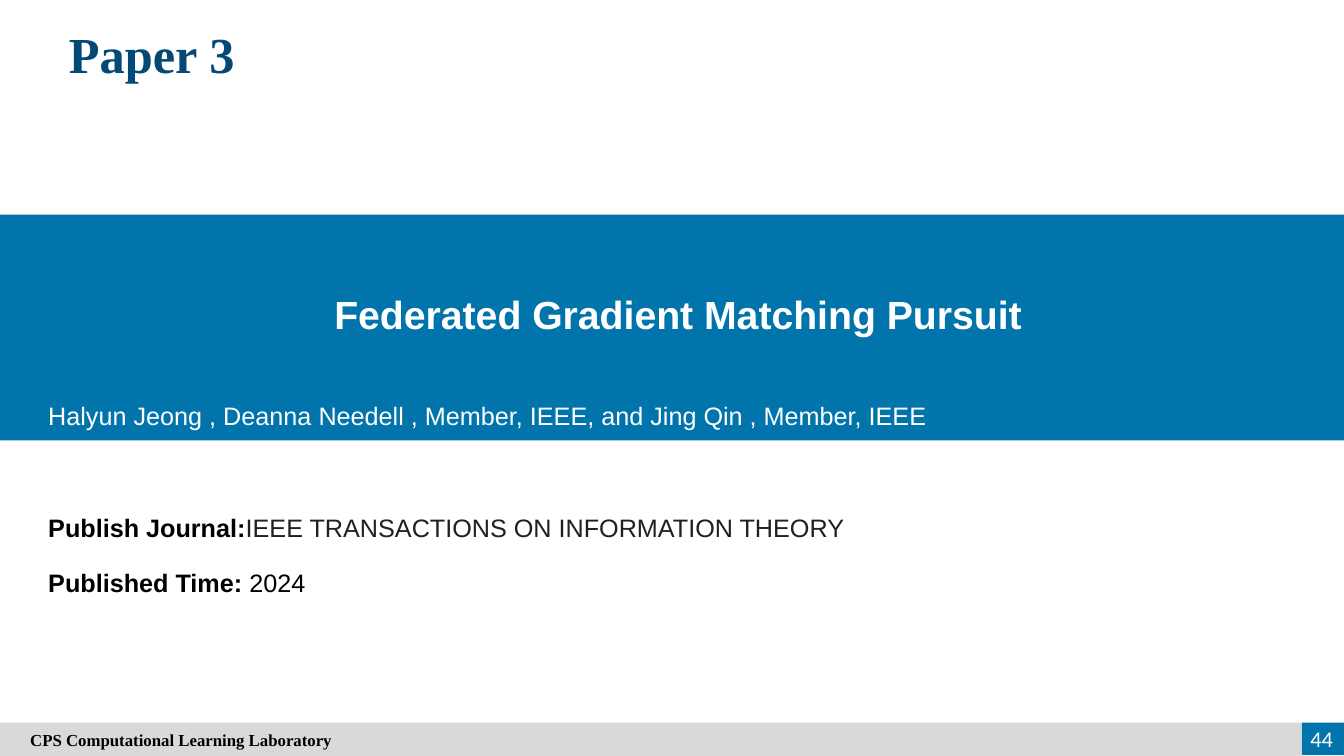
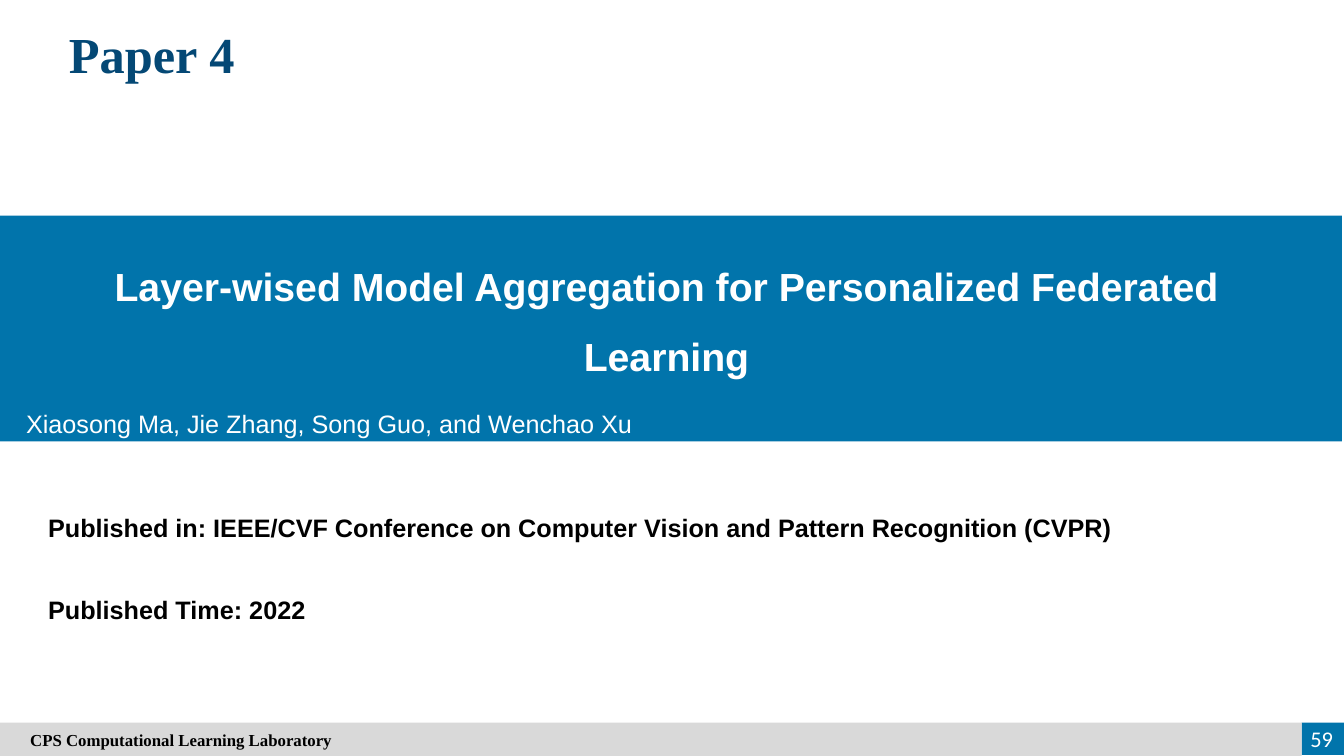
"""Build two paper cover slides that share a title, a band and a footer."""
from dataclasses import dataclass

from pptx import Presentation
from pptx.dml.color import RGBColor as Rgb
from pptx.enum.shapes import MSO_SHAPE as Shape
from pptx.enum.text import MSO_ANCHOR as Anchor, PP_ALIGN as Align
from pptx.util import Emu, Pt

PX = 9144
WIDE, HIGH = 1333, 750
BLUE = Rgb(0x01, 0x74, 0xAB)
NAVY = Rgb(0x04, 0x48, 0x75)
GREY = Rgb(0xD9, 0xD9, 0xD9)
INK = Rgb(0x23, 0x1F, 0x20)
BLACK = Rgb(0, 0, 0)
WHITE = Rgb(255, 255, 255)
SANS, SERIF, PAGE = "Arial", "Times New Roman", "Calibri"


@dataclass(frozen=True)
class Box:
    left: int
    top: int
    width: int
    height: int

    def emu(self) -> tuple[Emu, ...]:
        return tuple(Emu(n * PX) for n in (self.left, self.top, self.width, self.height))


@dataclass(frozen=True)
class Style:
    size: int
    color: Rgb
    bold: bool = False
    face: str = SANS
    align: Align = Align.LEFT
    anchor: Anchor = Anchor.TOP
    space: float = 1.0


@dataclass(frozen=True)
class Run:
    text: str
    bold: bool = True
    color: Rgb = BLACK


@dataclass(frozen=True)
class Line:
    box: Box
    runs: tuple[Run, ...]


@dataclass(frozen=True)
class Paper:
    label: str
    page: str
    band: Box
    title: str
    head: Box
    names: str
    by: Box
    facts: tuple[Line, ...]


LABEL = Style(36, NAVY, True, SERIF, Align.CENTER)
TITLE = Style(28, WHITE, True, SANS, Align.CENTER, Anchor.MIDDLE, 1.5)
NAMES = Style(18, WHITE)
FACT = Style(18, BLACK, True)
FOOT = Style(12, BLACK, True, SERIF, anchor=Anchor.MIDDLE)
NUMBER = Style(16, WHITE, face=PAGE, align=Align.RIGHT, anchor=Anchor.MIDDLE)

PAPERS = (
    Paper(
        "Paper 3", "44", Box(-2, 213, 1339, 224),
        "Federated Gradient Matching Pursuit", Box(31, 259, 1283, 81),
        "Halyun Jeong , Deanna Needell , Member, IEEE, and Jing Qin , Member, IEEE",
        Box(38, 392, 1253, 40),
        (
            Line(Box(38, 503, 1069, 40), (
                Run("Publish Journal:"),
                Run("IEEE TRANSACTIONS ON INFORMATION THEORY", False, INK))),
            Line(Box(38, 558, 638, 40), (
                Run("Published Time:"), Run(" 2024", False))),
        ),
    ),
    Paper(
        "Paper 4", "59", Box(-8, 214, 1339, 224),
        "Layer-wised Model Aggregation for Personalized Federated Learning",
        Box(35, 231, 1252, 151),
        "Xiaosong Ma, Jie Zhang, Song Guo, and Wenchao Xu",
        Box(16, 400, 1300, 40),
        (
            Line(Box(38, 503, 1274, 40), (
                Run("Published in: IEEE/CVF Conference on Computer Vision "
                    "and Pattern Recognition (CVPR)"),)),
            Line(Box(38, 585, 733, 40), (Run("Published Time: 2022"),)),
        ),
    ),
)


def fill_text(shape, runs: tuple[Run, ...], style: Style) -> None:
    frame = shape.text_frame
    frame.word_wrap = True
    frame.vertical_anchor = style.anchor
    para = frame.paragraphs[0]
    para.alignment = style.align
    para.line_spacing = style.space
    for item in runs:
        run = para.add_run()
        run.text = item.text
        font = run.font
        font.size, font.name, font.bold = Pt(style.size), style.face, item.bold
        font.color.rgb = item.color


def add_text(slide, box: Box, text: str, style: Style) -> None:
    shape = slide.shapes.add_textbox(*box.emu())
    fill_text(shape, (Run(text, style.bold, style.color),), style)


def add_rect(slide, box: Box, color: Rgb):
    rect = slide.shapes.add_shape(Shape.RECTANGLE, *box.emu())
    rect.shadow.inherit = False
    rect.fill.solid()
    rect.fill.fore_color.rgb = color
    rect.line.fill.background()
    return rect


def add_foot(slide, page: str) -> None:
    add_rect(slide, Box(1291, 717, 42, 32), BLUE)
    bar = add_rect(slide, Box(0, 717, 1291, 33), GREY)
    bar.text_frame.margin_left = Emu(30 * PX)
    lab = Run("CPS Computational Learning Laboratory")
    fill_text(bar, (lab,), FOOT)
    add_text(slide, Box(1269, 713, 63, 40), page, NUMBER)


def add_paper(deck, paper: Paper) -> None:
    slide = deck.slides.add_slide(deck.slide_layouts[6])
    add_rect(slide, paper.band, BLUE)
    add_text(slide, paper.head, paper.title, TITLE)
    add_text(slide, paper.by, paper.names, NAMES)
    add_text(slide, Box(38, 18, 225, 71), paper.label, LABEL)
    add_foot(slide, paper.page)
    for line in paper.facts:
        fill_text(slide.shapes.add_textbox(*line.box.emu()), line.runs, FACT)


def main() -> None:
    deck = Presentation()
    deck.slide_width, deck.slide_height = Emu(WIDE * PX), Emu(HIGH * PX)
    for paper in PAPERS:
        add_paper(deck, paper)
    deck.save("out.pptx")


if __name__ == "__main__":
    main()
